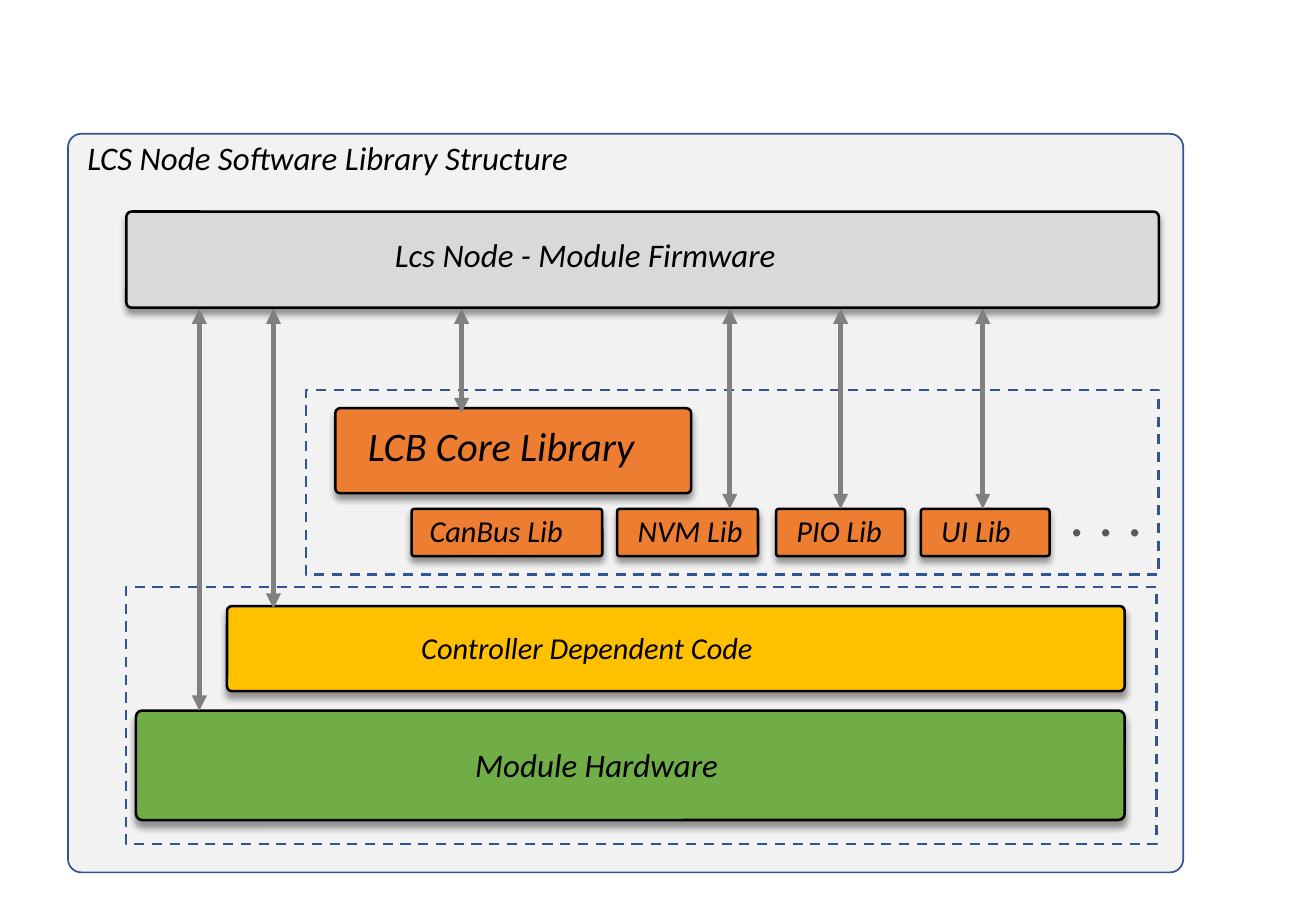
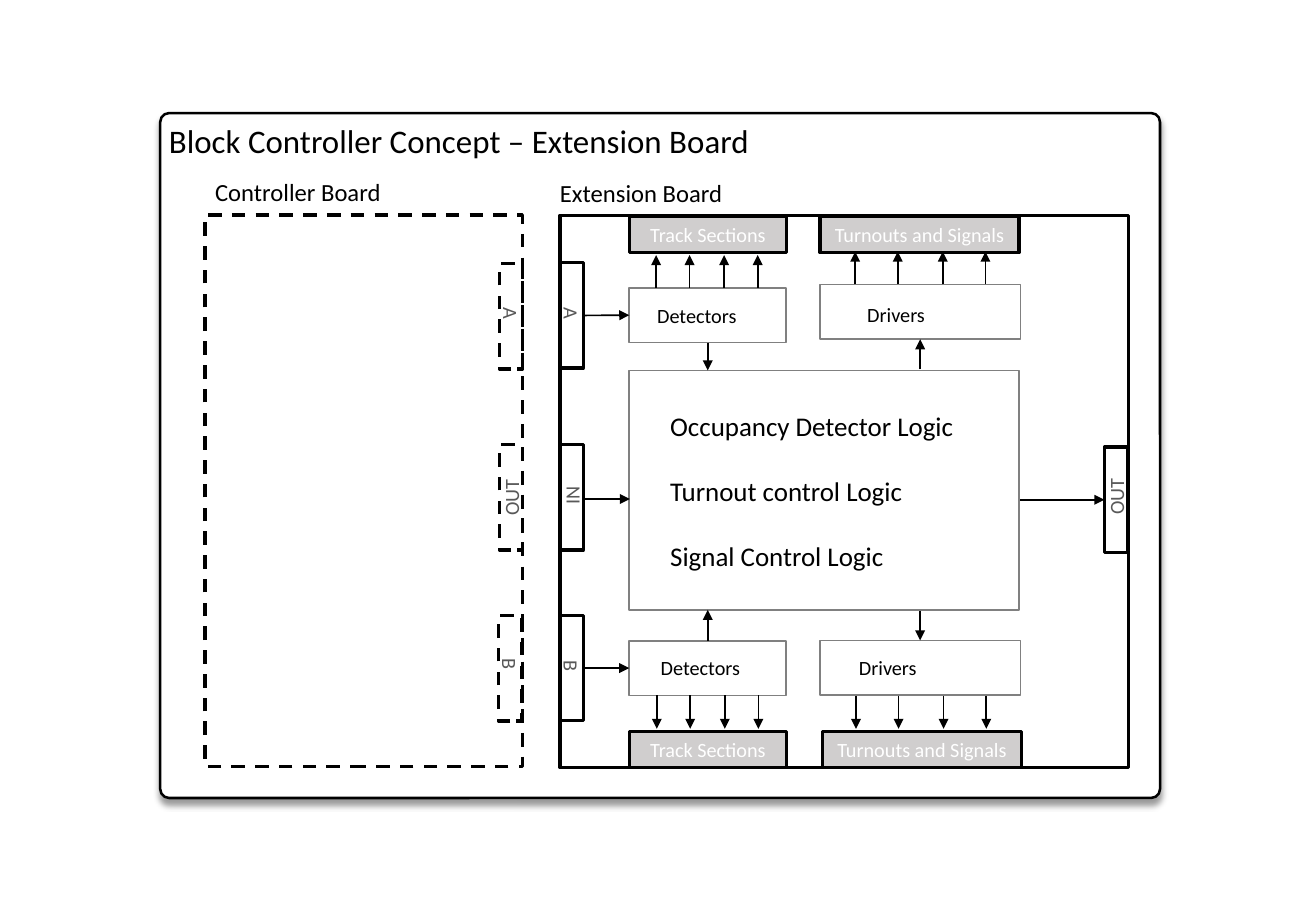
"""Build two block diagrams: a node software stack and an extension board."""
from dataclasses import dataclass
from typing import Any, Optional, Union

from lxml.etree import SubElement
from pptx import Presentation
from pptx.dml.color import RGBColor
from pptx.enum.dml import MSO_LINE
from pptx.enum.shapes import MSO_CONNECTOR, MSO_SHAPE
from pptx.enum.text import MSO_ANCHOR, MSO_AUTO_SIZE, PP_ALIGN
from pptx.oxml.ns import qn
from pptx.util import Pt

TOP, LEFT, BOTTOM, RIGHT = range(4)
SIDES = {TOP: (0.5, 0), LEFT: (0, 0.5), BOTTOM: (0.5, 1), RIGHT: (1, 0.5)}


@dataclass(frozen=True)
class Theme:
    """Colours, font and type sizes shared by the slides."""
    black: RGBColor = RGBColor(0x00, 0x00, 0x00)
    white: RGBColor = RGBColor(0xFF, 0xFF, 0xFF)
    panel: RGBColor = RGBColor(0xF2, 0xF2, 0xF2)
    firmware: RGBColor = RGBColor(0xD9, 0xD9, 0xD9)
    socket: RGBColor = RGBColor(0xD0, 0xCE, 0xCE)
    grey: RGBColor = RGBColor(0x80, 0x80, 0x80)
    dim: RGBColor = RGBColor(0x59, 0x59, 0x59)
    blue: RGBColor = RGBColor(0x32, 0x54, 0x91)
    orange: RGBColor = RGBColor(0xED, 0x7D, 0x31)
    amber: RGBColor = RGBColor(0xFF, 0xC0, 0x00)
    green: RGBColor = RGBColor(0x70, 0xAD, 0x47)
    font: str = "Calibri"
    dots: float = 36
    core: float = 24
    title: float = 19.5
    lib: float = 18
    logic: float = 16
    board: float = 14.6
    small: float = 12


T = Theme()


@dataclass(frozen=True)
class Style:
    """Fill, outline, corner radius and shadow of a box."""
    fill: Optional[RGBColor] = None
    line: RGBColor = T.black
    width: float = 1.5
    dash: bool = False
    radius: float = 0
    shadow: bool = False


@dataclass(frozen=True)
class Box:
    """A rectangle with a key for joints and optional centred text."""
    key: str
    x: float
    y: float
    w: float
    h: float
    style: Style
    text: str = ""


@dataclass(frozen=True)
class Label:
    """A text box; line breaks separate paragraphs set apart by gap."""
    text: str
    x: float
    y: float
    w: float
    h: float
    size: float
    italic: bool = False
    color: RGBColor = T.black
    turn: int = 0
    gap: float = 0


@dataclass(frozen=True)
class Joint:
    """The middle of one side of a keyed box."""
    box: str
    side: int


End = Union[Joint, tuple[float, float]]


@dataclass(frozen=True)
class Arrow:
    """A straight arrow between two ends."""
    begin: End
    end: End
    color: RGBColor = T.black
    width: float = 1
    double: bool = False


@dataclass(frozen=True)
class Port:
    """A board socket with its turned label, shifted down from the middle."""
    key: str
    x: float
    y: float
    text: str
    turn: int
    shift: float
    dash: bool = False


def solid(fill: RGBColor) -> Style:
    """Give the raised, black-edged block style in one colour."""
    return Style(fill, radius=0.056, shadow=True)


DASHED = Style(line=T.blue, dash=True)
UNIT = Style(T.white, T.grey, 1)
SOCKET = Style(T.socket, width=2)


def apply(obj: Any, fmt: dict[str, Any]) -> None:
    """Set each format value on an object."""
    for key, value in fmt.items():
        setattr(obj, key, value)


def write(tf: Any, text: str, size: float, color: RGBColor, italic: bool = False,
          align: Any = PP_ALIGN.LEFT, gap: float = 0) -> None:
    """Fill a text frame with formatted paragraphs."""
    apply(tf, {"word_wrap": True, "auto_size": MSO_AUTO_SIZE.NONE})
    for i, line in enumerate(text.split("\n")):
        p = tf.add_paragraph() if i else tf.paragraphs[0]
        p.alignment = align
        if i and gap:
            p.space_before = Pt(gap)
        r = p.add_run()
        r.text = line
        apply(r.font, {"name": T.font, "size": Pt(size), "italic": italic, "bold": False})
        r.font.color.rgb = color


def add_box(s: Any, box: Box) -> Any:
    """Draw one box and return its shape."""
    st = box.style
    kind = MSO_SHAPE.ROUNDED_RECTANGLE if st.radius else MSO_SHAPE.RECTANGLE
    sp = s.shapes.add_shape(kind, Pt(box.x), Pt(box.y), Pt(box.w), Pt(box.h))
    if st.radius:
        sp.adjustments[0] = st.radius
    if st.fill is None:
        sp.fill.background()
    else:
        sp.fill.solid()
        sp.fill.fore_color.rgb = st.fill
    sp.line.color.rgb = st.line
    sp.line.width = Pt(st.width)
    if st.dash:
        sp.line.dash_style = MSO_LINE.DASH
    sp.shadow.inherit = False
    if st.shadow:
        effects = sp.element.spPr.find(qn("a:effectLst"))
        shadow = SubElement(effects, qn("a:outerShdw"), blurRad=str(Pt(4)),
                            dist=str(Pt(3)), dir="5400000", rotWithShape="0")
        color = SubElement(shadow, qn("a:srgbClr"), val=str(T.black))
        SubElement(color, qn("a:alpha"), val="40000")
    if box.text:
        apply(sp.text_frame, {"margin_left": 0, "margin_right": 0,
                              "vertical_anchor": MSO_ANCHOR.MIDDLE})
        write(sp.text_frame, box.text, T.small, T.white, align=PP_ALIGN.CENTER)
    return sp


def add_label(s: Any, label: Label) -> None:
    """Draw one text box."""
    sp = s.shapes.add_textbox(Pt(label.x), Pt(label.y), Pt(label.w), Pt(label.h))
    sp.rotation = label.turn
    write(sp.text_frame, label.text, label.size, label.color, label.italic, gap=label.gap)


def locate(end: End, shapes: dict[str, Any]) -> tuple[int, int]:
    """Return the position of an arrow end."""
    if not isinstance(end, Joint):
        return Pt(end[0]), Pt(end[1])
    sp = shapes[end.box]
    fx, fy = SIDES[end.side]
    return int(sp.left + fx * sp.width), int(sp.top + fy * sp.height)


def add_arrow(s: Any, arrow: Arrow, shapes: dict[str, Any]) -> None:
    """Draw one arrow and join it to its boxes."""
    c = s.shapes.add_connector(MSO_CONNECTOR.STRAIGHT, *locate(arrow.begin, shapes),
                               *locate(arrow.end, shapes))
    for end, join in ((arrow.begin, c.begin_connect), (arrow.end, c.end_connect)):
        if isinstance(end, Joint):
            join(shapes[end.box], end.side)
    c.line.color.rgb = arrow.color
    c.line.width = Pt(arrow.width)
    props = c.element.spPr
    for tag in ("a:headEnd", "a:tailEnd") if arrow.double else ("a:tailEnd",):
        SubElement(props.find(qn("a:ln")), qn(tag), type="triangle")
    SubElement(props, qn("a:effectLst"))


def add_slide(prs: Any, title: Label, boxes: list[Box], labels: list[Label],
              arrows: list[Arrow]) -> None:
    """Add a slide with its title above the drawn boxes."""
    s = prs.slides.add_slide(prs.slide_layouts[5])
    shapes = {box.key: add_box(s, box) for box in boxes}
    sp = s.shapes.title
    sp.element.getparent().append(sp.element)
    apply(sp, {"left": Pt(title.x), "top": Pt(title.y),
               "width": Pt(title.w), "height": Pt(title.h)})
    sp.text_frame.vertical_anchor = MSO_ANCHOR.TOP
    write(sp.text_frame, title.text, title.size, title.color, title.italic)
    for label in labels:
        add_label(s, label)
    for arrow in arrows:
        add_arrow(s, arrow, shapes)


def software_slide(prs: Any) -> None:
    """Build the software library structure."""
    libs = [("CanBus Lib", 244, 113, 3.5), ("NVM Lib", 365.8, 83.5, 5),
            ("PIO Lib", 460, 76.5, 5), ("UI Lib", 545.8, 76.3, 5)]
    boxes = [
        Box("Panel", 40.3, 79.3, 661, 437.8, Style(T.panel, T.blue, 1, radius=0.018)),
        Box("Firmware", 74.9, 125.4, 612, 57, solid(T.firmware)),
        Box("Hardware", 80.6, 421.2, 586, 64.9, solid(T.green)),
        Box("Core", 198.8, 242, 210.9, 50.4, solid(T.orange)),
        Box("Controller code", 134.6, 359.3, 532, 50.4, solid(T.amber)),
        Box("Library area", 181.3, 231.2, 505.5, 109.5, DASHED),
        Box("Hardware area", 74.8, 347.9, 610.6, 152.4, DASHED),
        *(Box(name, x, 301.7, w, 28, solid(T.orange)) for name, x, w, _ in libs),
    ]
    labels = [
        Label("Lcs Node - Module Firmware", 227, 135.5, 288, 31, T.title, True),
        Label("Module Hardware", 274.5, 438, 182, 31, T.title, True),
        Label("LCB Core Library", 211, 246.3, 180, 36, T.core, True),
        Label("Controller Dependent Code", 242.6, 369.5, 267, 29, T.lib, True),
        Label(". . .", 627, 278.5, 60, 51, T.dots, color=T.dim),
        *(Label(name, x + dx, 300, w + 5, 29, T.lib, True) for name, x, w, dx in libs),
    ]
    links = [(118.2, (118.2, 421.2)), (162.1, (162.1, 360.7)), (273.6, (273.6, 244.8)),
             (432.6, (432.6, 301.7)), (498.25, Joint("PIO Lib", TOP)),
             (582.5, (582.5, 301.7))]
    arrows = [Arrow((x, 183), end, T.grey, 3, True) for x, end in links]
    title = Label("LCS Node Software Library Structure", 44.6, 78, 429, 31, T.title, True)
    add_slide(prs, title, boxes, labels, arrows)


def board_slide(prs: Any) -> None:
    """Build the block controller extension board."""
    pw, ph = 13.8, 62.5
    ports = [Port("A", 331.9, 155.75, "A", 90, 4.6), Port("IN", 331.9, 263.6, "IN", 270, -5.5),
             Port("B", 331.9, 364.75, "B", 90, 5), Port("OUT", 654.6, 265, "OUT", 270, -7),
             Port("Controller A", 296, 156.2, "A", 90, 4, True),
             Port("Controller OUT", 296, 263.6, "OUT", 270, -4.7, True),
             Port("Controller B", 295.5, 365, "B", 90, 3.5, True)]
    rows = (("top", 170.6, 168.6, 128.1, 486), ("bottom", 379.75, 379.6, 433.5, 487.5))
    boxes = [
        Box("Panel", 95, 67, 592.6, 406, Style(T.white, radius=0.013, shadow=True)),
        Box("Extension Board", 331.9, 127.6, 337, 327.5, Style(width=2)),
        Box("Controller Board", 121.6, 127.6, 188, 326.9, Style(width=2, dash=True)),
        Box("Logic", 373, 219.7, 231, 141.8, UNIT),
    ]
    for row, detect_y, drive_y, socket_y, turnout_x in rows:
        boxes += [
            Box(f"Detectors {row}", 373, detect_y, 93, 32.5, UNIT),
            Box(f"Drivers {row}", 486, drive_y, 118.8, 32.5, UNIT),
            Box(f"Track {row}", 373.2, socket_y, 92.9, 21.6, SOCKET, "Track Sections"),
            Box(f"Turnouts {row}", turnout_x, socket_y, 118.1, 21.6, SOCKET,
                "Turnouts and Signals"),
        ]
    boxes += [Box(p.key, p.x, p.y, pw, ph, Style(width=2, dash=p.dash)) for p in ports]
    logic = "Occupancy Detector Logic\nTurnout control Logic\nSignal Control Logic"
    labels = [
        Label("Extension Board", 324.8, 102, 178.5, 25, T.board),
        Label("Controller Board", 120.4, 101.5, 178.5, 25, T.board),
        Label(logic, 390.2, 239, 196.5, 104.5, T.logic, gap=19.5),
        *(Label(text, x, y, 82, 21.5, T.small) for text, x, y in (
            ("Detectors", 382.4, 176.4), ("Drivers", 506.9, 175.9),
            ("Detectors", 384.5, 385), ("Drivers", 502, 385))),
    ]
    for p in ports:
        w, h = 45.5 if len(p.text) > 2 else 33, 21.5
        labels.append(Label(p.text, p.x + (pw - w) / 2, p.y + (ph - h) / 2 + p.shift,
                            w, h, T.small, color=T.dim, turn=p.turn))
    arrows = [
        Arrow(Joint("A", RIGHT), Joint("Detectors top", LEFT)),
        Arrow(Joint("B", RIGHT), Joint("Detectors bottom", LEFT)),
        Arrow((346, 295.8), (373.4, 295.8)),
        Arrow((604.8, 296.25), Joint("OUT", LEFT)),
        Arrow(Joint("Detectors top", BOTTOM), (419.5, 219.6)),
        Arrow(Joint("Detectors bottom", TOP), (419.5, 361.5)),
        Arrow((545.4, 219), Joint("Drivers top", BOTTOM)),
        Arrow((545.4, 362), Joint("Drivers bottom", TOP)),
    ]
    detect, drive = (0, 19.8, 40.3, 60.2), (0, 25.2, 51.9, 77.2)
    for x, offsets, y1, y2 in ((388.9, detect, 170.6, 151.2), (506.9, drive, 168.6, 149.2),
                               (389.3, detect, 412, 432), (507.4, drive, 412.4, 432)):
        arrows += [Arrow((x + dx, y1), (x + dx, y2)) for dx in offsets]
    title = Label("Block Controller Concept – Extension Board", 92.9, 67.6, 375, 31, T.title)
    add_slide(prs, title, boxes, labels, arrows)


def main() -> None:
    """Build and save the presentation."""
    prs = Presentation()
    apply(prs, {"slide_width": Pt(780), "slide_height": Pt(540)})
    software_slide(prs)
    board_slide(prs)
    prs.save("out.pptx")


if __name__ == "__main__":
    main()
